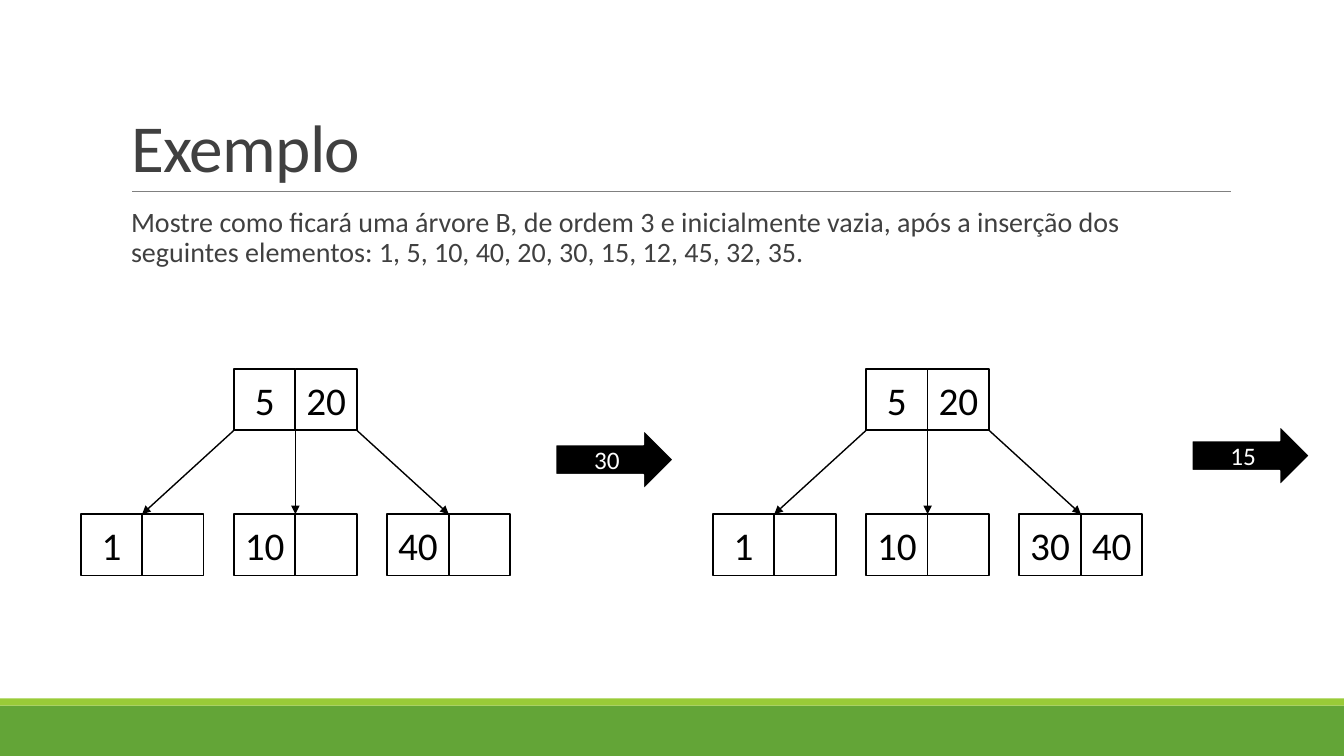
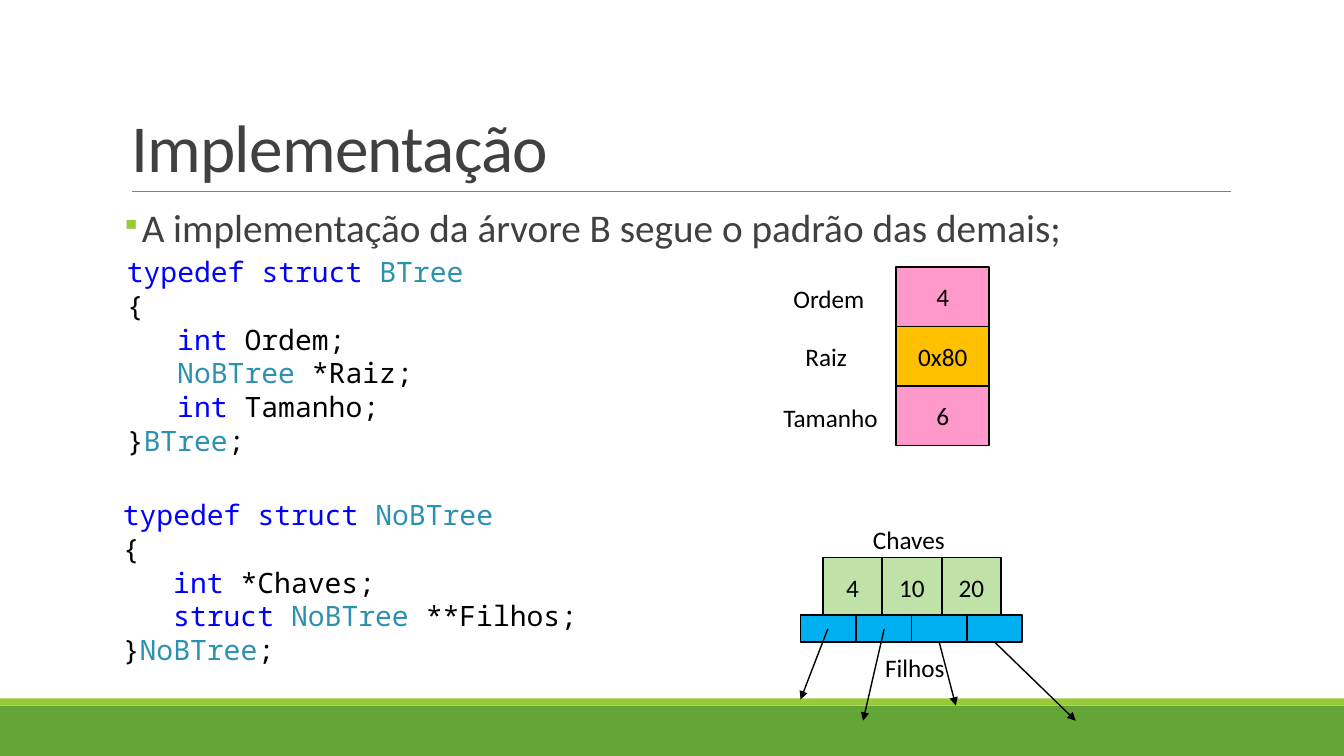
"""Builds two slides on B-trees: an insertion example and the data structures."""
from lxml import etree
from pptx import Presentation
from pptx.dml.color import RGBColor
from pptx.enum import shapes, text
from pptx.oxml.ns import qn
from pptx.util import Inches, Pt


class Theme:
    font, mono = "Calibri", "Noto Sans Mono"
    black, white = RGBColor(0, 0, 0), RGBColor(255, 255, 255)
    ink = RGBColor.from_string("404040")
    rule = RGBColor.from_string("808080")
    band = RGBColor.from_string("63A537")
    accent = RGBColor.from_string("99CB38")
    keyword = RGBColor.from_string("0000FF")
    type_name = RGBColor.from_string("2B91AF")
    key = RGBColor.from_string("BFE2A8")
    child = RGBColor.from_string("00B0F0")
    field = RGBColor.from_string("FF99CC")
    pointer = RGBColor.from_string("FFC000")
    title_size, body_size, lead_size = Pt(48), Pt(20), Pt(28)
    node_size, small_size, code_size = Pt(28), Pt(18), Pt(20)
    outline, link = Pt(1.25), Pt(1)


def add_box(s, at, fill, label="", size=Theme.small_size, color=Theme.black,
            line=Theme.black, kind=shapes.MSO_SHAPE.RECTANGLE):
    sp = s.shapes.add_shape(kind, *map(Inches, at))
    sp.shadow.inherit = False
    sp.fill.solid()
    sp.fill.fore_color.rgb = fill
    if line is None:
        sp.line.fill.background()
    else:
        sp.line.color.rgb = line
        sp.line.width = Theme.outline
    if label:
        tf = sp.text_frame
        tf.text = label
        tf.margin_left = tf.margin_right = 0
        tf.vertical_anchor = text.MSO_ANCHOR.MIDDLE
        p = tf.paragraphs[0]
        p.alignment = text.PP_ALIGN.CENTER
        f = p.runs[0].font
        f.name, f.size, f.color.rgb = Theme.font, size, color
    return sp


def add_line(s, start, end, color=Theme.black, width=Theme.link, head=True):
    c = s.shapes.add_connector(shapes.MSO_CONNECTOR.STRAIGHT, *map(Inches, start + end))
    c.line.color.rgb = color
    c.line.width = width
    props = c._element.spPr
    if head:
        etree.SubElement(props.find(qn("a:ln")), qn("a:tailEnd"), type="triangle")
    etree.SubElement(props, qn("a:effectLst"))
    return c


prs = Presentation()
prs.slide_width, prs.slide_height = Inches(13.33), Inches(7.5)

pages = [
    ("Exemplo",
     "Mostre como ficará uma árvore B, de ordem 3 e inicialmente vazia, após a inserção dos "
     "seguintes elementos: 1, 5, 10, 40, 20, 30, 15, 12, 45, 32, 35.",
     Theme.body_size, False),
    ("Implementação", "A implementação da árvore B segue o padrão das demais;",
     Theme.lead_size, True),
]
for title, body, body_size, bulleted in pages:
    s = prs.slides.add_slide(prs.slide_layouts[5])
    add_box(s, (0, 7, 13.33, 0.5), Theme.band, line=None)
    add_box(s, (0, 6.93, 13.33, 0.07), Theme.accent, line=None)
    add_line(s, (1.31, 1.9), (12.21, 1.9), Theme.rule, Pt(0.5), head=False)

    sp = s.shapes.title
    sp.left, sp.top, sp.width, sp.height = map(Inches, (1.2, 0.31, 11, 1.59))
    tf = sp.text_frame
    tf.text = title
    tf.auto_size = text.MSO_AUTO_SIZE.NONE
    tf.vertical_anchor = text.MSO_ANCHOR.BOTTOM
    p = tf.paragraphs[0]
    p.alignment = text.PP_ALIGN.LEFT
    p.line_spacing = 0.85
    f = p.runs[0].font
    f.name, f.size, f.color.rgb = Theme.font, Theme.title_size, Theme.ink
    p.runs[0]._r.get_or_add_rPr().set("spc", "-50")

    tf = s.shapes.add_textbox(*map(Inches, (1.2, 2.02, 11, 4.4))).text_frame
    tf.word_wrap = True
    tf.margin_left = tf.margin_right = 0
    tf.text = body
    p = tf.paragraphs[0]
    p.line_spacing = 0.9
    p.space_after = Pt(2)
    props = p._p.get_or_add_pPr()
    props.set("marL", str(Inches(0.16 if bulleted else 0.1)))
    if bulleted:
        props.set("indent", str(-Inches(0.16)))
        bullet_color = etree.SubElement(props, qn("a:buClr"))
        etree.SubElement(bullet_color, qn("a:srgbClr"), val=str(Theme.accent))
        etree.SubElement(props, qn("a:buSzPct"), val="71000")
        etree.SubElement(props, qn("a:buChar"), char="▪")
    f = p.runs[0].font
    f.name, f.size, f.color.rgb = Theme.font, body_size, Theme.ink

example, structures = prs.slides

cell, node_pitch, root_top, leaf_top = 0.61, 1.52, 3.66, 5.1
trees = [
    (0.8, [("1", ""), ("10", ""), ("40", "")], "30", (5.51, 4.26)),
    (7.07, [("1", ""), ("10", ""), ("30", "40")], "15", (11.82, 4.22)),
]
for left, leaves, inserted, arrow_at in trees:
    root_left = left + node_pitch
    nodes = [(root_left, root_top, ("5", "20"))]
    nodes += [(left + i * node_pitch, leaf_top, leaf) for i, leaf in enumerate(leaves)]
    for x, y, keys in nodes:
        for i, key in enumerate(keys):
            add_box(example, (x + i * cell, y, cell, cell), Theme.white, key, Theme.node_size)
    for i in range(len(leaves)):
        add_line(example, (root_left + i * cell, root_top + cell),
                 (left + i * node_pitch + cell, leaf_top))
    add_box(example, arrow_at + (1.17, 0.6), Theme.black, inserted, color=Theme.white,
            line=Theme.white, kind=shapes.MSO_SHAPE.RIGHT_ARROW)

token_colors = dict.fromkeys(("typedef", "struct", "int"), Theme.keyword)
token_colors.update(dict.fromkeys(("BTree", "NoBTree"), Theme.type_name))
listings = [
    ((1.16, 2.48, 6.67, 2.12),
     [(0, "typedef| |struct| |BTree"), (0, "{"), (0.5, "int| Ordem;"),
      (0.5, "NoBTree| *Raiz;"), (0.5, "int| Tamanho;"), (0, "}|BTree|;")]),
    ((1.12, 4.89, 6.67, 1.78),
     [(0, "typedef| |struct| |NoBTree"), (0, "{"), (0.5, "int| *Chaves;"),
      (0.5, "struct| NoBTree| **Filhos;"), (0, "}|NoBTree|;")]),
]
for at, lines in listings:
    tf = structures.shapes.add_textbox(*map(Inches, at)).text_frame
    tf.word_wrap = True
    for i, (indent, tokens) in enumerate(lines):
        p = tf.add_paragraph() if i else tf.paragraphs[0]
        p._p.get_or_add_pPr().set("marL", str(Inches(indent)))
        for token in tokens.split("|"):
            r = p.add_run()
            r.text = token
            r.font.name, r.font.size = Theme.mono, Theme.code_size
            r.font.color.rgb = token_colors.get(token.strip(), Theme.black)

side = 0.59
for i, key in enumerate(("4", "10", "20")):
    add_box(structures, (8.16 + i * side, 5.53, side, side), Theme.key, key)
fields = [("4", Theme.field), ("0x80", Theme.pointer), ("6", Theme.field)]
for i, (value, fill) in enumerate(fields):
    add_box(structures, (8.89, 2.65 + i * side, 0.92, side), fill, value)

child_width, child_top, child_height = 0.55, 6.1, 0.27
children = [add_box(structures, (7.94 + i * child_width, child_top, child_width, child_height),
                    Theme.child) for i in range(4)]

labels = [
    ("Chaves", (8.56, 5.15, 0.92, 0.4)),
    ("Filhos", (8.68, 6.42, 0.8, 0.4)),
    ("Ordem", (7.77, 2.76, 0.91, 0.4)),
    ("Raiz", (7.89, 3.34, 0.62, 0.4)),
    ("Tamanho", (7.67, 3.94, 1.15, 0.4)),
]
for label, at in labels:
    tf = structures.shapes.add_textbox(*map(Inches, at)).text_frame
    tf.word_wrap = False
    tf.text = label
    f = tf.paragraphs[0].runs[0].font
    f.name, f.size, f.color.rgb = Theme.font, Theme.small_size, Theme.black

links = [
    ((8.21, 6.24), (7.94, 6.94), False),
    ((8.77, 6.24), (8.56, 7.15), False),
    ((9.32, 6.37), (9.48, 7), True),
    ((9.86, 6.37), (10.67, 7.15), True),
]
for child, (start, end, joined) in zip(children, links):
    c = add_line(structures, start, end)
    if joined:
        c.begin_connect(child, 2)

prs.save("out.pptx")
